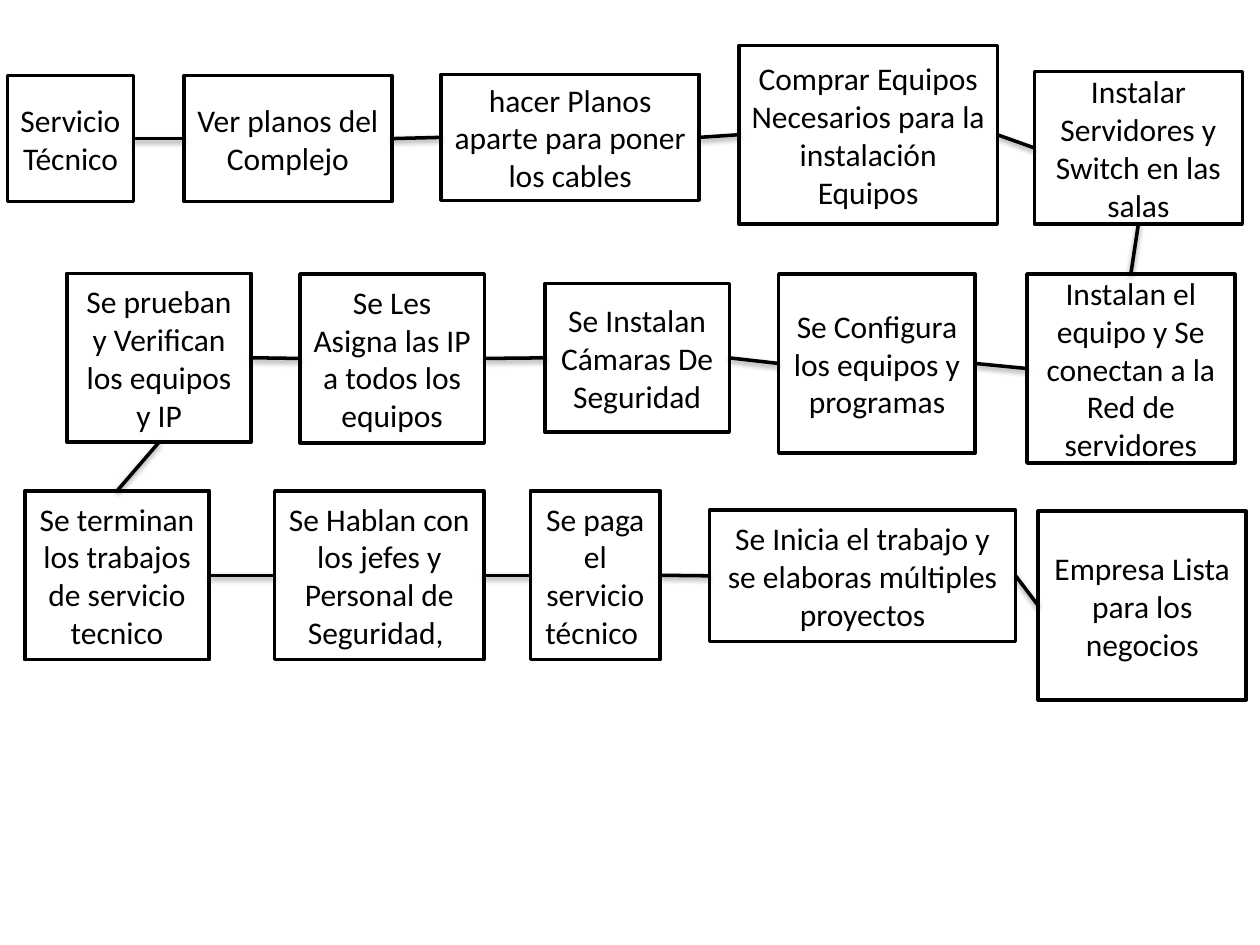
from lxml import etree
from pptx import Presentation
from pptx.dml.color import RGBColor
from pptx.enum.shapes import MSO_CONNECTOR, MSO_SHAPE
from pptx.enum.text import MSO_ANCHOR, PP_ALIGN
from pptx.oxml.ns import qn
from pptx.util import Pt

RECTANGLE = MSO_SHAPE.RECTANGLE
STRAIGHT = MSO_CONNECTOR.STRAIGHT
MIDDLE = MSO_ANCHOR.MIDDLE
CENTER = PP_ALIGN.CENTER
BLANK_LAYOUT = 6
TOP, LEFT, BOTTOM, RIGHT = range(4)  # connection sites of a rectangle
COLORS = {"fill": "FFFFFF", "ink": "000000"}
LINE_WIDTH = 2

# Steps in reading order of the process: text, left, top, width, height.
# Each row leaves its steps by one side and enters the next by the other.
ROWS = [
    (RIGHT, LEFT, [
        ("Servicio Técnico", 4.3, 43.2, 72, 72),
        ("Ver planos del Complejo", 105.1, 43.2, 118.8, 72),
        ("hacer Planos aparte para poner los cables", 252, 42.5, 147.6, 72),
        ("Comprar Equipos Necesarios para la instalación Equipos",
         422.3, 25.9, 147.6, 102.2),
        ("Instalar Servidores y Switch en las salas", 591.1, 41, 118.8, 87.1),
    ]),
    (LEFT, RIGHT, [
        ("Instalan el equipo y Se conectan a la Red de servidores",
         586.8, 156.6, 118.8, 108),
        ("Se Configura los equipos y programas", 445, 156.6, 112.3, 102.2),
        ("Se Instalan Cámaras De Seguridad", 311.4, 162, 105.4, 85),
        ("Se Les Asigna las IP a todos los equipos", 171.4, 156.6, 105.4, 96.5),
        ("Se prueban y Verifican los equipos y IP", 38.2, 156.2, 105.4, 96.5),
    ]),
    (RIGHT, LEFT, [
        ("Se terminan los trabajos de servicio tecnico", 14.2, 280.5, 105.4, 96.5),
        ("Se Hablan con los jefes y Personal de Seguridad, ",
         157, 280.5, 119.5, 96.5),
        ("Se paga el servicio técnico ", 303.1, 280.5, 74.2, 96.5),
        ("Se Inicia el trabajo y se elaboras múltiples proyectos",
         405.4, 291.6, 175, 74.9),
        ("Empresa Lista para los negocios", 593.3, 292.1, 118.8, 108),
    ]),
]


def add_step(page, text, left, top, width, height):
    """Add one outlined process box with centred text."""
    box = page.shapes.add_shape(RECTANGLE, Pt(left), Pt(top), Pt(width), Pt(height))
    box.shadow.inherit = False
    box.fill.solid()
    box.fill.fore_color.rgb = RGBColor.from_string(COLORS["fill"])
    box.line.color.rgb = RGBColor.from_string(COLORS["ink"])
    box.line.width = Pt(LINE_WIDTH)
    frame = box.text_frame
    frame.word_wrap = True
    frame.vertical_anchor = MIDDLE
    frame.text = text
    para = frame.paragraphs[0]
    para.alignment = CENTER
    font = para.runs[0].font
    font.name = "Calibri"
    font.size = Pt(18)
    font.color.rgb = RGBColor.from_string(COLORS["ink"])
    return box


def link_steps(page, start, start_site, end, end_site):
    """Join two boxes with a straight line that casts a soft shadow."""
    link = page.shapes.add_connector(STRAIGHT, 0, 0, 0, 0)
    link.begin_connect(start, start_site)
    link.end_connect(end, end_site)
    link.line.color.rgb = RGBColor.from_string(COLORS["ink"])
    link.line.width = Pt(LINE_WIDTH)
    effects = etree.SubElement(link._element.spPr, qn("a:effectLst"))
    shadow = etree.SubElement(
        effects, qn("a:outerShdw"), blurRad=str(Pt(3.1)), dist=str(Pt(1.6)),
        dir="5400000", rotWithShape="0")
    color = etree.SubElement(shadow, qn("a:srgbClr"), val=COLORS["ink"])
    etree.SubElement(color, qn("a:alpha"), val="38000")


deck = Presentation()
deck.slide_width, deck.slide_height = Pt(720), Pt(540)
page = deck.slides.add_slide(deck.slide_layouts[BLANK_LAYOUT])

previous = None
for exit_site, entry_site, steps in ROWS:
    for index, step in enumerate(steps):
        box = add_step(page, *step)
        if index:
            link_steps(page, previous, exit_site, box, entry_site)
        elif previous is not None:
            link_steps(page, previous, BOTTOM, box, TOP)
        previous = box

deck.save("out.pptx")
